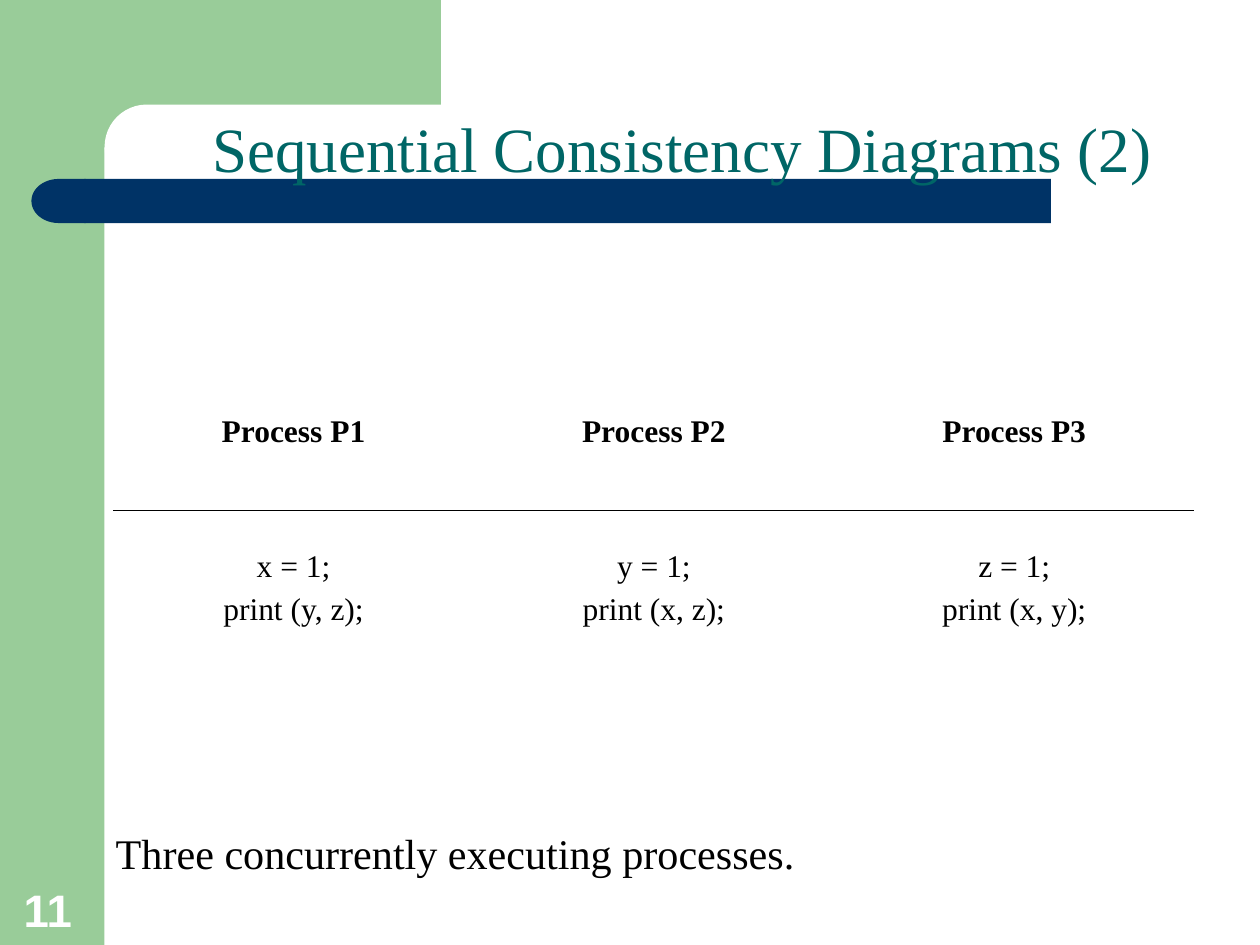
from dataclasses import dataclass

from lxml.etree import SubElement
from pptx import Presentation
from pptx.dml.color import RGBColor
from pptx.enum.shapes import MSO_SHAPE as Preset
from pptx.enum.text import MSO_ANCHOR as Anchor, PP_ALIGN as Align
from pptx.oxml.ns import qn
from pptx.util import Inches, Pt


@dataclass(frozen=True)
class Theme:
    green: str = "99CC99"
    navy: str = "003366"
    teal: str = "006666"
    white: str = "FFFFFF"
    black: str = "000000"
    serif: str = "Times New Roman"
    sans: str = "Arial"
    title_size: float = 36
    number_size: float = 26
    caption_size: float = 24.1
    table_size: float = 18
    rule_width: float = 0.45


THEME = Theme()

# Columns of the table: heading, then the statements of that process
PROCESSES = [
    ("Process P1", ["x = 1;", "print (y, z);"]),
    ("Process P2", ["y = 1;", "print (x, z);"]),
    ("Process P3", ["z = 1;", "print (x, y);"]),
]

# Decoration from back to front: preset, box, colour, corner adjustment
DECORATION = [
    (Preset.RECTANGLE, (0, 0, 0.83, 7.5), THEME.green, None),
    (Preset.RECTANGLE, (0.75, 0, 2.75, 1.17), THEME.green, None),
    (Preset.ROUNDED_RECTANGLE, (0.83, 0.83, 3.42, 0.67), THEME.white, 0.5),
    (Preset.ROUNDED_RECTANGLE, (0.67, 1.42, 7.67, 0.35), THEME.navy, 0),
]


def set_values(target, values):
    for name, value in values.items():
        setattr(target, name, value)


def place(shape, box):
    names = ("left", "top", "width", "height")
    set_values(shape, dict(zip(names, map(Inches, box))))


def write(frame, lines, size, color, font=THEME.serif, bold=False,
          align=Align.LEFT, gap=0):
    """Fill a text frame with one paragraph per line."""
    for index, line in enumerate(lines):
        paragraph = frame.add_paragraph() if index else frame.paragraphs[0]
        paragraph.text = line
        set_values(paragraph, {"alignment": align,
                               "space_before": Pt(gap if index else 0)})
        set_values(paragraph.font, {"name": font, "size": Pt(size), "bold": bold})
        paragraph.font.color.rgb = RGBColor.from_string(color)


def set_frame(frame, anchor, top=0.05, bottom=0.05):
    set_values(frame, {"word_wrap": True, "vertical_anchor": anchor,
                       "margin_left": Inches(0.1), "margin_right": Inches(0.1),
                       "margin_top": Inches(top), "margin_bottom": Inches(bottom)})


def add_block(slide, preset, box, color, adjustment=None):
    shape = slide.shapes.add_shape(preset, *map(Inches, box))
    shape.shadow.inherit = False
    shape.fill.solid()
    shape.fill.fore_color.rgb = RGBColor.from_string(color)
    shape.line.fill.background()
    if adjustment is not None:
        shape.adjustments[0] = adjustment
    return shape


def add_decoration(slide):
    for preset, box, color, adjustment in DECORATION:
        add_block(slide, preset, box, color, adjustment)
    # Rounded left end of the bar
    cap = add_block(slide, Preset.FLOWCHART_DELAY, (0.25, 1.42, 0.43, 0.35), THEME.navy)
    cap._element.spPr.find(qn("a:xfrm")).set("flipH", "1")


def add_text(slide, box, text, anchor, top=0.05, **style):
    frame = slide.shapes.add_textbox(*map(Inches, box)).text_frame
    set_frame(frame, anchor, top=top)
    write(frame, [text], **style)


def set_title(slide, text):
    title = slide.shapes.title
    place(title, (0.83, 0.83, 9.17, 0.67))
    set_frame(title.text_frame, Anchor.BOTTOM, top=0, bottom=0.03)
    write(title.text_frame, [text], THEME.title_size, THEME.teal, align=Align.CENTER)
    # Bring the title in front of the decoration
    slide.shapes._spTree.append(title._element)


def set_borders(cell, ruled_side):
    """Draw a thin rule on one side of a cell and clear the other sides."""
    properties = cell._tc.get_or_add_tcPr()
    for index, side in enumerate(("lnL", "lnR", "lnT", "lnB")):
        line = SubElement(properties, qn(f"a:{side}"), w=str(Pt(THEME.rule_width)))
        if side == ruled_side:
            fill = SubElement(line, qn("a:solidFill"))
            SubElement(fill, qn("a:srgbClr"), val=THEME.black)
        else:
            SubElement(line, qn("a:noFill"))
        properties.insert(index, line)


def add_process_table(slide):
    box = (0.9, 2.81, 8.58, 2.48)
    table = slide.shapes.add_table(2, len(PROCESSES), *map(Inches, box)).table
    set_values(table, {"first_row": False, "horz_banding": False})
    for column, (heading, statements) in enumerate(PROCESSES):
        for row, lines in enumerate(([heading], statements)):
            cell = table.cell(row, column)
            is_heading = row == 0
            cell.fill.background()
            cell.vertical_anchor = Anchor.MIDDLE
            write(cell.text_frame, lines, THEME.table_size, THEME.black,
                  bold=is_heading, align=Align.CENTER, gap=4.5)
            set_borders(cell, "lnB" if is_heading else "lnT")


def main():
    presentation = Presentation()
    set_values(presentation, {"slide_width": Inches(10), "slide_height": Inches(7.5)})
    slide = presentation.slides.add_slide(presentation.slide_layouts[5])

    # Frame and slide number
    add_decoration(slide)
    add_text(slide, (0.09, 6.94, 0.64, 0.54), "11", Anchor.BOTTOM,
             size=THEME.number_size, color=THEME.white, font=THEME.sans, bold=True)

    # Content
    set_title(slide, "Sequential Consistency Diagrams (2)")
    add_text(slide, (0.82, 6.5, 9.18, 0.51), "Three concurrently executing processes.",
             Anchor.TOP, top=0.07, size=THEME.caption_size, color=THEME.black)
    add_process_table(slide)

    presentation.save("out.pptx")


if __name__ == "__main__":
    main()
